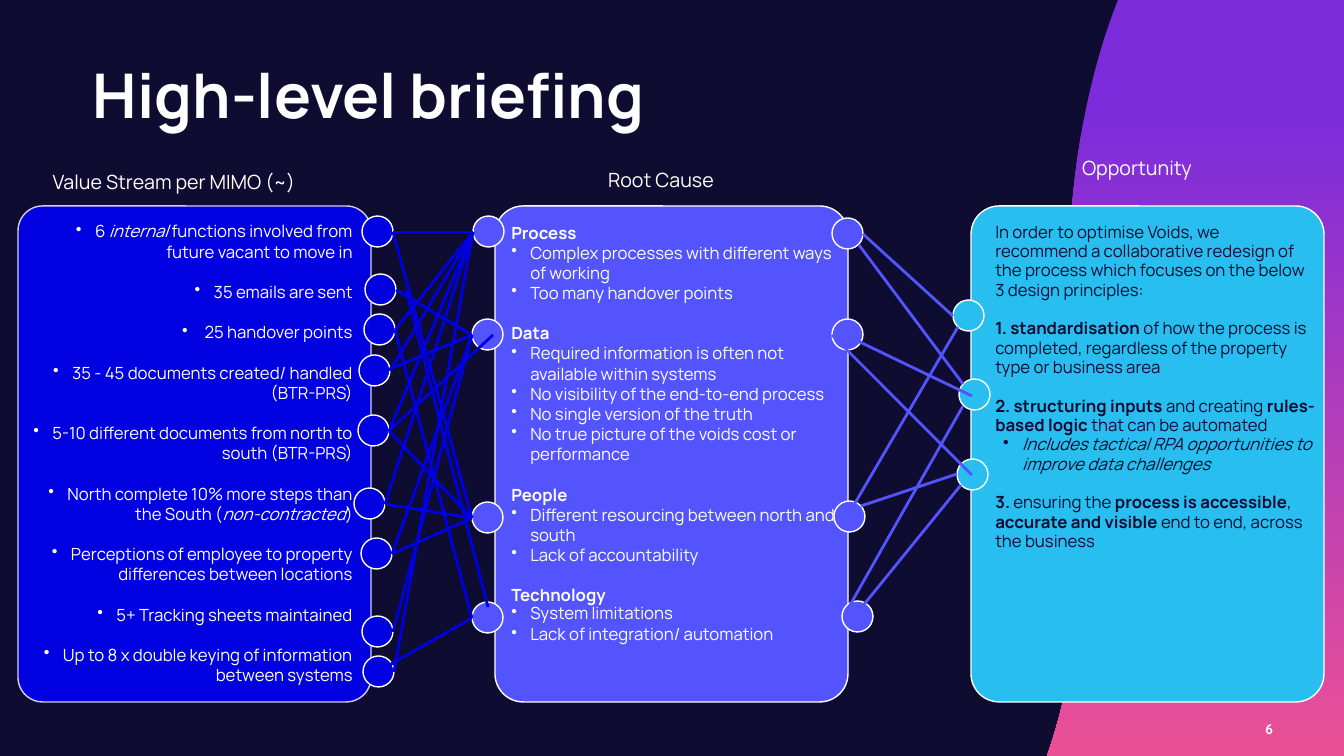
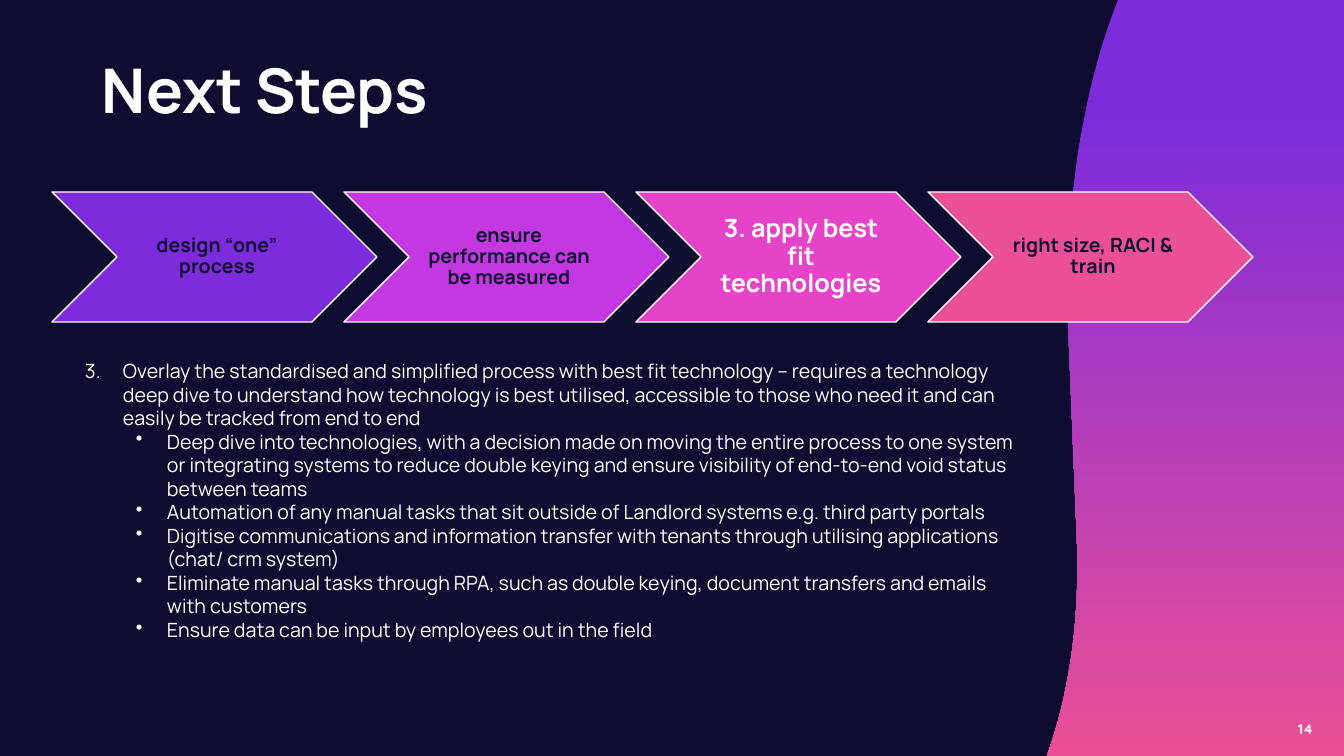
from dataclasses import dataclass
from lxml.etree import SubElement
from pptx import Presentation
from pptx.dml.color import RGBColor as Rgb
from pptx.enum.shapes import MSO_CONNECTOR as Link, MSO_SHAPE as Kind
from pptx.enum.text import MSO_ANCHOR as Anchor, PP_ALIGN as Align
from pptx.oxml.ns import qn
from pptx.util import Pt

WIDE, HIGH = 1344, 756


# Shared theme
@dataclass(frozen=True)
class Theme:
    navy: str = "0F0C32"
    white: str = "FFFFFF"
    blue: str = "0000E1"
    iris: str = "5454FF"
    sky: str = "28BEF0"
    lilac: str = "D7CDF2"
    purple: str = "7D2CDC"
    violet: str = "C338E1"
    magenta: str = "E644C8"
    pink: str = "EB5096"
    face: str = "Manrope"
    digits: str = "Quicksand"
    title: int = 44
    large: int = 18
    lead: int = 14
    body: int = 12
    foot: int = 10


T = Theme()

# Slide wording: a run is plain text or (text, style)
STREAM = [
    ["6 ", ("internal", "i"), " functions involved from future vacant to move in"],
    ["35 emails are sent"],
    [" 25 handover points"],
    ["35 - 45 documents created/ handled (BTR-PRS)"],
    ["5-10 different documents from north to south (BTR-PRS)"],
    ["North complete 10% more steps than the South (",
     ("non-contracted", "i"), ")"],
    ["Perceptions of employee to property differences between locations"],
    ["5+ Tracking sheets maintained"],
    ["Up to 8 x double keying of information between systems"],
]
CAUSES = {
    "Process": ["Complex processes with different ways of working",
                "Too many handover points"],
    "Data": ["Required information is often not available within systems",
             "No visibility of the end-to-end process",
             "No single version of the truth",
             "No true picture of the voids cost or performance"],
    "People": ["Different resourcing between north and south",
               "Lack of accountability"],
    "Technology": ["System limitations", "Lack of integration/ automation"],
}
IDEAS = [
    ["In order to optimise Voids, we recommend a collaborative redesign of "
     "the process which focuses on the below 3 design principles:"],
    [("1. standardisation", "b"), " of how the process is completed, "
     "regardless of the property type or business area"],
    [("2. structuring inputs ", "b"), "and creating ",
     ("rules-based logic ", "b"), "that can be automated"],
    [("Includes tactical RPA opportunities to improve data challenges", "i")],
    [("3. ", "b"), "ensuring the ", ("process is accessible", "b"), ", ",
     ("accurate and visible ", "b"), "end to end, across the business"],
]
STEPS = [
    ("design “one” process", T.purple),
    ("ensure performance can be measured", T.violet),
    ("3. apply best fit technologies", T.magenta),
    ("right size, RACI & train", T.pink),
]
PLAN = ("Overlay the standardised and simplified process with best fit "
        "technology – requires a technology deep dive to understand how "
        "technology is best utilised, accessible to those who need it and can "
        "easily be tracked from end to end")
TASKS = [
    "Deep dive into technologies, with a decision made on moving the entire "
    "process to one system or integrating systems to reduce double keying and "
    "ensure visibility of end-to-end void status between teams",
    "Automation of any manual tasks that sit outside of Landlord systems e.g. "
    "third party portals",
    "Digitise communications and information transfer with tenants through "
    "utilising applications (chat/ crm system)",
    "Eliminate manual tasks through RPA, such as double keying, document "
    "transfers and emails with customers",
    "Ensure data can be input by employees out in the field",
]

# Round nodes (left, top) and the lines between them
NODE = 31
SOURCES = [(362, 216), (365, 274), (364, 314), (359, 355), (358, 415),
           (354, 488), (361, 538), (362, 616), (363, 656)]
INPUTS = [(473, 216), (472, 319), (472, 502), (472, 602)]
OUTPUTS = [(832, 218), (832, 319), (834, 501), (842, 601)]
GOALS = [(953, 300), (959, 379), (957, 459)]
PAIRS = [(0, 0), (1, 1), (0, 2), (2, 0), (2, 3), (3, 0), (4, 0), (4, 2),
         (5, 2), (5, 0), (6, 2), (6, 1), (7, 1), (8, 0)]
INNER = [(406, 290, 488, 607), (380, 373, 472, 335), (389, 431, 493, 335),
         (379, 671, 472, 618)]
OUTER = [(863, 234, 953, 316), (859, 245, 963, 384), (849, 623, 961, 485),
         (839, 332, 972, 396), (832, 335, 972, 475), (845, 614, 963, 406),
         (844, 522, 958, 327), (861, 506, 957, 474)]


# Basic helpers
def px(n):
    return round(n * 12192000 / WIDE)


def put(item, values):
    for key, value in values.items():
        setattr(item, key, value)


def paint(shape, fill, line=None):
    shape.shadow.inherit = False
    shape.fill.solid()
    shape.fill.fore_color.rgb = Rgb.from_string(fill)
    if line:
        shape.line.color.rgb = Rgb.from_string(line)
        shape.line.width = Pt(1)
    else:
        shape.line.fill.background()


def bullet(para, left, hang, start=None):
    props = para._p.get_or_add_pPr()
    props.set("marL", str(px(left)))
    props.set("indent", str(-px(hang)))
    if start:
        SubElement(props, qn("a:buAutoNum"), type="arabicPeriod",
                   startAt=str(start))
    else:
        SubElement(props, qn("a:buChar"), char="•")


def para(runs, mark=None, **form):
    return runs, mark, form


def write(shape, paras, size, color, pad=(10, 5, 10, 5), anchor=Anchor.TOP,
          face=T.face, bold=False):
    frame = shape.text_frame
    sides = ("margin_left", "margin_top", "margin_right", "margin_bottom")
    put(frame, {"word_wrap": True, "vertical_anchor": anchor,
                **dict(zip(sides, map(px, pad)))})
    for i, (runs, mark, form) in enumerate(paras):
        line = frame.add_paragraph() if i else frame.paragraphs[0]
        if mark:
            bullet(line, *mark)
        put(line, {"alignment": Align.LEFT, **form})
        for run in runs:
            text, style = (run, "") if isinstance(run, str) else run
            part = line.add_run()
            part.text = text
            put(part.font, {"name": face, "size": Pt(size),
                            "bold": bold or "b" in style,
                            "italic": "i" in style})
            part.font.color.rgb = Rgb.from_string(color)


def label(slide, box, paras, size, **form):
    shape = slide.shapes.add_textbox(*map(px, box))
    write(shape, paras, size, T.white, **form)


# Shared parts
def bend(a, b, c, d, count=20):
    for i in range(count + 1):
        t = i / count
        u = 1 - t
        mix = (u ** 3, 3 * u * u * t, 3 * u * t * t, t ** 3)
        yield tuple(px(sum(m * p[k] for m, p in zip(mix, (a, b, c, d))))
                    for k in (0, 1))


def curve(slide):
    dots = [*bend((1047, 756), (1069, 695), (1080, 622), (1077, 541)),
            *bend((1069, 345), (1064, 208), (1081, 94), (1118, 0)),
            (px(WIDE), 0), (px(WIDE), px(HIGH))]
    path = slide.shapes.build_freeform(*dots[0], scale=1.0)
    path.add_line_segments(dots[1:], close=True)
    shape = path.convert_to_shape()
    paint(shape, T.purple)
    shape.fill.gradient()
    shape.fill.gradient_angle = 270
    for stop, color, spot in zip(shape.fill.gradient_stops,
                                 (T.purple, T.pink), (0.15, 1)):
        stop.color.rgb = Rgb.from_string(color)
        stop.position = spot


def page(deck, title, box, number, edge):
    slide = deck.slides.add_slide(deck.slide_layouts[6])
    curve(slide)
    label(slide, box, [para([title], line_spacing=0.9)], T.title, bold=True)
    label(slide, (edge - 89, 721, 89, 17),
          [para([number], alignment=Align.RIGHT)], T.foot,
          pad=(0, 0, 0, 0), face=T.digits, bold=True)
    return slide


# Elements of the slides
def head(slide, text, left, top):
    label(slide, (left, top, 310, 42),
          [para([text], alignment=Align.CENTER, line_spacing=0.9)],
          T.lead, pad=(11, 6, 11, 6), anchor=Anchor.MIDDLE)


def panel(slide, left, fill, edge, bow, paras, color=T.white, right=0):
    shape = slide.shapes.add_shape(
        Kind.ROUNDED_RECTANGLE, *map(px, (left, 206, 353, 496)))
    shape.adjustments[0] = bow
    paint(shape, fill, edge)
    write(shape, paras, T.body, color, pad=(8, 8, right, 12))


def nodes(slide, spots, fill):
    for x, y in spots:
        dot = slide.shapes.add_shape(Kind.OVAL, *map(px, (x, y, NODE, NODE)))
        paint(dot, fill, T.white)


def links(slide, ends, color):
    for end in ends:
        line = slide.shapes.add_connector(Link.STRAIGHT, *map(px, end))
        line.line.color.rgb = Rgb.from_string(color)
        line.line.width = Pt(2)
        SubElement(line._element.spPr, qn("a:effectLst"))


def chevron(slide, index, text, fill):
    shape = slide.shapes.add_shape(
        Kind.CHEVRON, *map(px, (52 + 292 * index, 192, 325, 130)))
    paint(shape, fill, T.white)
    now = index == 2
    write(shape, [para([text], alignment=Align.CENTER, line_spacing=0.9)],
          T.large if now else T.lead, T.white if now else T.navy,
          pad=(8, 3, 3, 3), anchor=Anchor.MIDDLE, bold=True)


# Paragraph lists
def gap(index, size=14.4):
    return {"space_before": Pt(size)} if index else {}


def causes():
    for i, (name, items) in enumerate(CAUSES.items()):
        yield para([(name, "b")], **gap(i))
        tight = name == "Technology"
        form = {"line_spacing": 0.9, "space_after": Pt(2)} if tight else {}
        for item in items:
            yield para([item], (19, 19), **form)


def ideas():
    for i, runs in enumerate(IDEAS):
        sub = i == 3
        yield para(runs, (27, 19) if sub else None, line_spacing=Pt(13.8),
                   **gap(i and not sub, 13.8))


# Slides
def brief(deck):
    slide = page(deck, "High-level briefing", (83, 60, 1220, 88), "6", 1273)
    head(slide, "Root Cause", 506, 160)
    head(slide, "Value Stream per MIMO (~)", 19, 162)
    head(slide, "Opportunity", 982, 148)
    panel(slide, 495, T.iris, T.white, 0.08, causes())
    panel(slide, 18, T.blue, T.lilac, 0.07,
          [para(runs, (19, 19), alignment=Align.RIGHT, **gap(i))
           for i, runs in enumerate(STREAM)], right=11)
    # The sky panel indents its text by a wider left edge
    panel(slide, 971, T.sky, T.white, 0.08, [])
    write_ideas(slide)
    nodes(slide, SOURCES, T.blue)
    nodes(slide, INPUTS + OUTPUTS, T.iris)
    nodes(slide, GOALS, T.sky)
    half = NODE // 2 + 1
    pairs = [(SOURCES[a][0] + NODE, SOURCES[a][1] + half,
              INPUTS[b][0], INPUTS[b][1] + half) for a, b in PAIRS]
    links(slide, pairs + INNER, T.blue)
    links(slide, OUTER, T.iris)


def write_ideas(slide):
    shape = slide.shapes[-1]
    write(shape, ideas(), T.body, T.navy, pad=(16, 8, 0, 12))


def steps(deck):
    slide = page(deck, "Next Steps", (92, 55, 1161, 85), "14", 1313)
    for i, (text, fill) in enumerate(STEPS):
        chevron(slide, i, text, fill)
    label(slide, (75, 354, 961, 366),
          [para([PLAN], (38, 38, 3)),
           *(para([task], (82, 31)) for task in TASKS)], T.lead)


def main():
    deck = Presentation()
    put(deck, {"slide_width": px(WIDE), "slide_height": px(HIGH)})
    back = deck.slide_master.background.fill
    back.solid()
    back.fore_color.rgb = Rgb.from_string(T.navy)
    brief(deck)
    steps(deck)
    deck.save("out.pptx")


if __name__ == "__main__":
    main()
